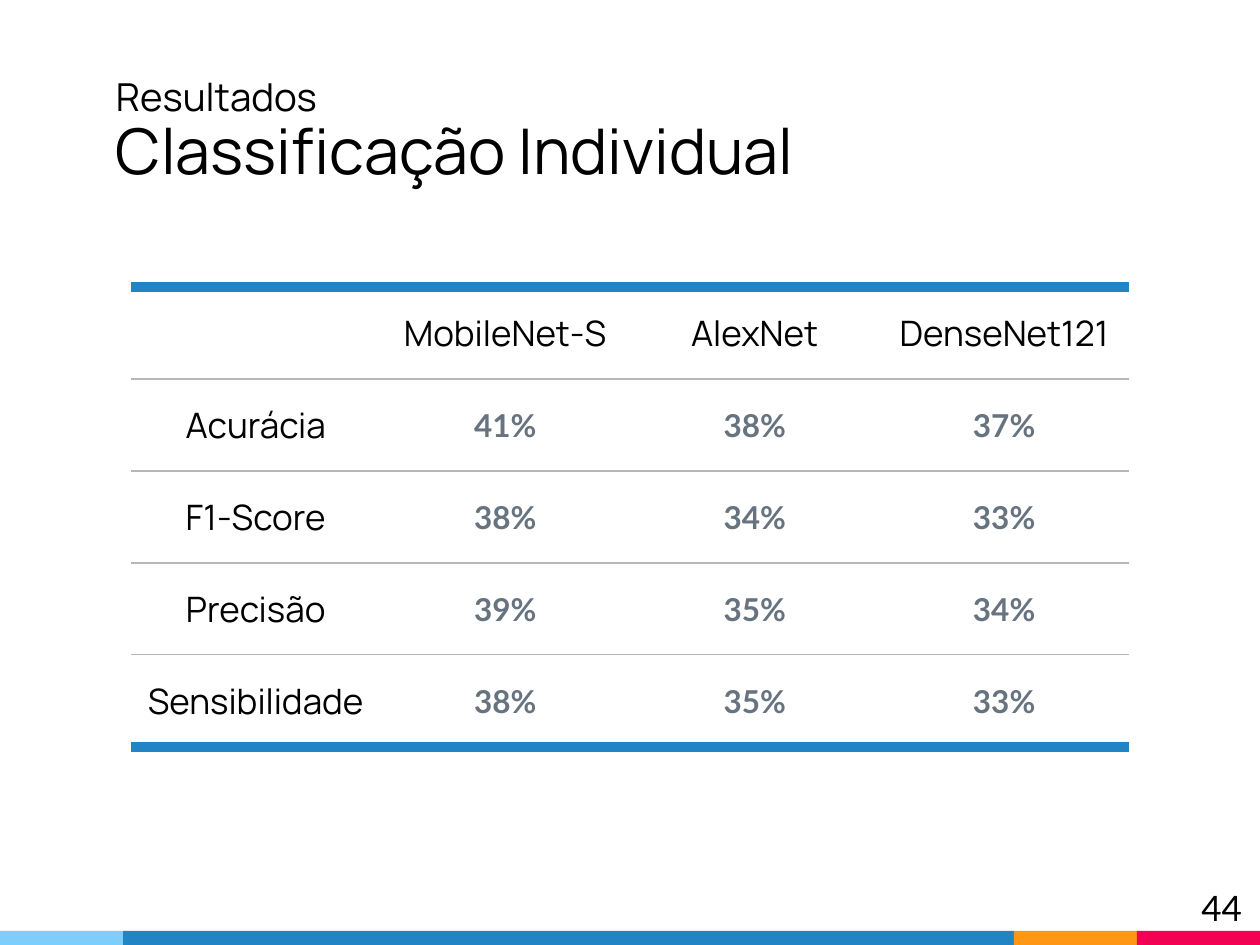
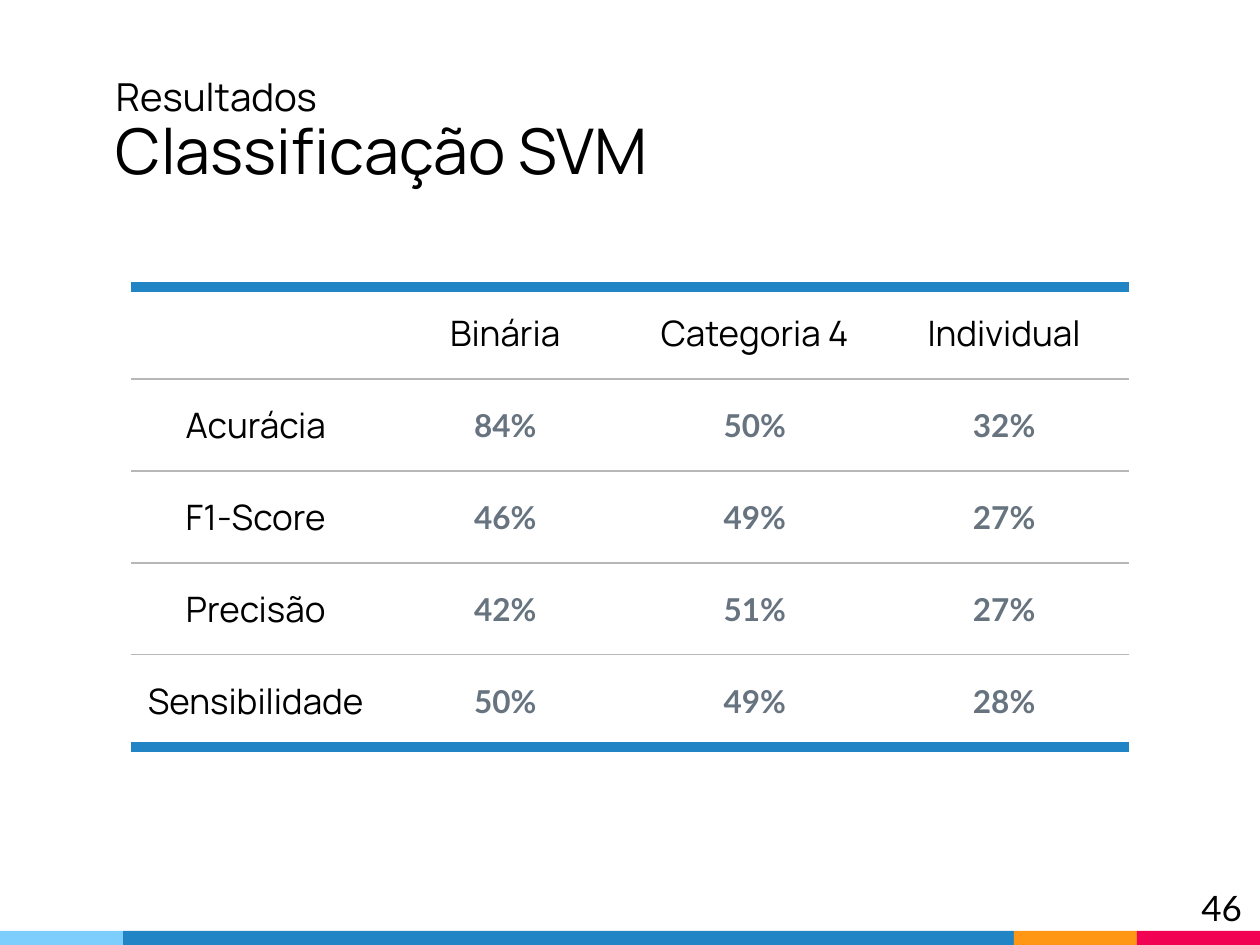
from lxml import etree
from pptx import Presentation
from pptx import util as u
from pptx.dml.color import RGBColor
from pptx.enum import shapes, text
from pptx.oxml.ns import qn

SCALE = 914400 / 126
HEAD = "Manrope"
BODY = "Lato"
BLACK = "000000"
SLATE = "677480"
BLUE = "2185C5"
GREY = "B7B7B7"
PAD = 13
EDGES = [0, 123, 1014, 1137, 1260]
BANDS = ["7ECEFD", BLUE, "FF9715", "F20253"]
ROWS = ["Acurácia", "F1-Score", "Precisão", "Sensibilidade"]
PAGES = [
    ("Classificação Individual", "44",
     ["MobileNet-S", "AlexNet", "DenseNet121"],
     [[41, 38, 37], [38, 34, 33], [39, 35, 34], [38, 35, 33]]),
    ("Classificação SVM", "46",
     ["Binária", "Categoria 4", "Individual"],
     [[84, 50, 32], [46, 49, 27], [42, 51, 27], [50, 49, 28]]),
]


def px(n):
    return u.Emu(round(n * SCALE))


def tint(code):
    return RGBColor.from_string(code)


def style(para, size, face, color=BLACK, bold=False):
    font = para.font
    font.size = u.Pt(size)
    font.name = face
    font.bold = bold
    font.color.rgb = tint(color)


def inset(box, base=PAD):
    box.margin_left = box.margin_right = box.margin_top = px(PAD)
    box.margin_bottom = px(base)


def bands(slide):
    for left, right, color in zip(EDGES, EDGES[1:], BANDS):
        bar = slide.shapes.add_shape(
            shapes.MSO_SHAPE.RECTANGLE, px(left), px(931), px(right - left), px(14))
        bar.shadow.inherit = False
        bar.fill.solid()
        bar.fill.fore_color.rgb = tint(color)
        bar.line.fill.background()


def title(slide, name):
    head = slide.shapes.title
    head.left, head.top, head.width, head.height = map(px, (103, 38, 1150, 157))
    frame = head.text_frame
    frame.auto_size = text.MSO_AUTO_SIZE.NONE
    frame.vertical_anchor = text.MSO_ANCHOR.BOTTOM
    inset(frame, 7)
    para = frame.paragraphs[0]
    para.alignment = text.PP_ALIGN.LEFT
    para.line_spacing = 0.9
    style(para, 36, HEAD)
    top = para.add_run()
    top.text = "Resultados"
    top.font.size = u.Pt(22)
    para.add_line_break()
    para.add_run().text = name


def number(slide, page):
    frame = slide.shapes.add_textbox(px(1179), px(873), px(76), px(72)).text_frame
    frame.word_wrap = True
    inset(frame)
    para = frame.paragraphs[0]
    para.text = page
    para.alignment = text.PP_ALIGN.RIGHT
    style(para, 20, BODY)


def border(cell, row, last):
    thick = (BLUE, 6)
    thin = (GREY, 0.75)
    sides = [("a:lnL", None), ("a:lnR", None),
             ("a:lnT", thin if row else thick),
             ("a:lnB", thick if row == last else thin)]
    props = cell._tc.get_or_add_tcPr()
    for spot, (tag, look) in enumerate(sides):
        line = etree.Element(qn(tag))
        if look:
            color, size = look
            line.set("w", str(u.Pt(size)))
            fill = etree.SubElement(line, qn("a:solidFill"))
            etree.SubElement(fill, qn("a:srgbClr"), val=color)
        else:
            etree.SubElement(line, qn("a:noFill"))
        props.insert(spot, line)


def table(slide, heads, values):
    data = [["", *heads]]
    data += [[name, *(f"{v}%" for v in row)] for name, row in zip(ROWS, values)]
    last = len(data) - 1
    grid = slide.shapes.add_table(
        len(data), len(data[0]), px(131), px(287), px(998), px(460)).table
    grid.first_row = grid.horz_banding = False
    for row, line in enumerate(data):
        for col, word in enumerate(line):
            cell = grid.cell(row, col)
            cell.fill.background()
            cell.vertical_anchor = text.MSO_ANCHOR.MIDDLE
            inset(cell)
            para = cell.text_frame.paragraphs[0]
            para.text = word
            para.alignment = text.PP_ALIGN.CENTER
            if row and col:
                style(para, 18, BODY, SLATE, True)
            else:
                style(para, 20, HEAD)
            border(cell, row, last)


def main():
    deck = Presentation()
    deck.slide_width, deck.slide_height = px(1260), px(945)
    for name, page, heads, values in PAGES:
        slide = deck.slides.add_slide(deck.slide_layouts[5])
        bands(slide)
        table(slide, heads, values)
        number(slide, page)
        title(slide, name)
    deck.save("out.pptx")


if __name__ == "__main__":
    main()
